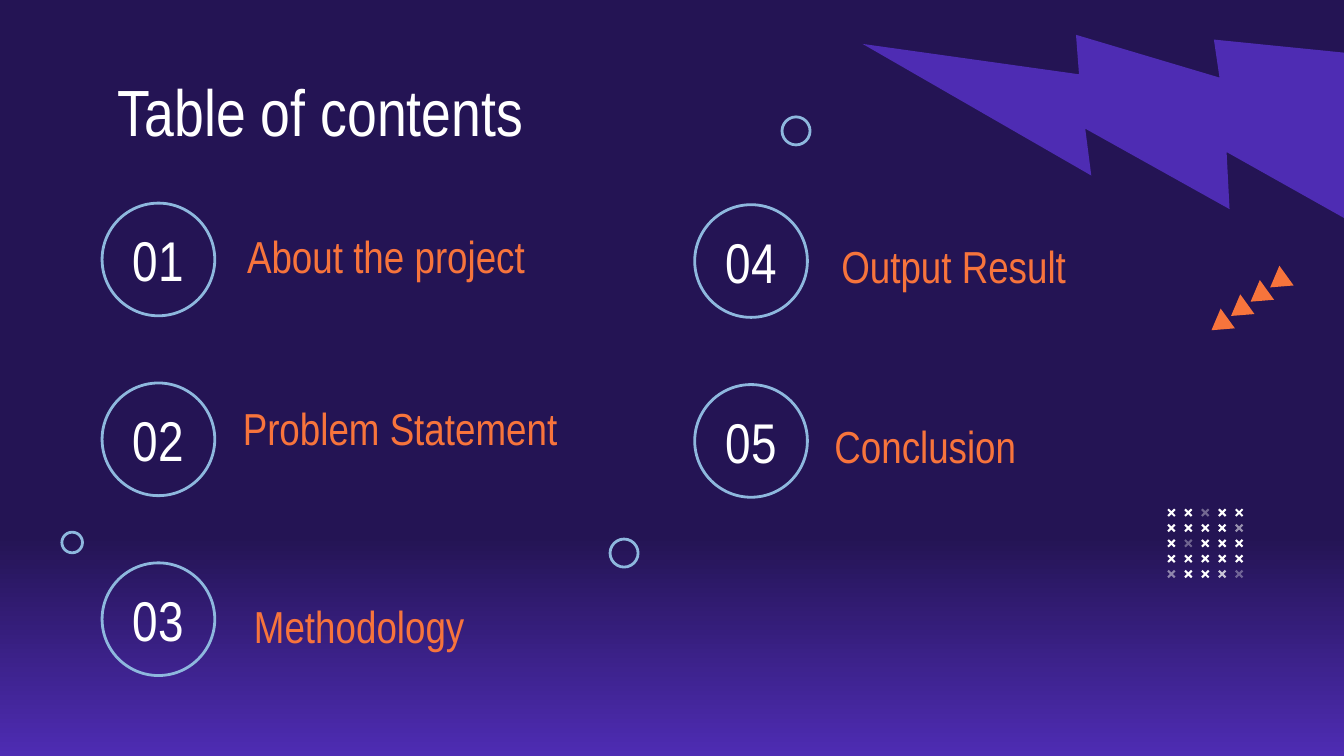
"""Build a table of contents slide with numbered circles and decorative shapes."""
from itertools import product

from lxml import etree
from pptx import Presentation
from pptx.dml.color import RGBColor
from pptx.enum.shapes import MSO_SHAPE
from pptx.enum.text import MSO_ANCHOR, PP_ALIGN
from pptx.oxml.ns import qn
from pptx.util import Cm, Pt

OVAL, TRIANGLE = MSO_SHAPE.OVAL, MSO_SHAPE.ISOSCELES_TRIANGLE
BOLT, CROSS = MSO_SHAPE.LIGHTNING_BOLT, MSO_SHAPE.CROSS
TOP, MIDDLE = MSO_ANCHOR.TOP, MSO_ANCHOR.MIDDLE
LEFT, CENTER = PP_ALIGN.LEFT, PP_ALIGN.CENTER

THEME = {
    "night": RGBColor(0x24, 0x14, 0x54),
    "violet": RGBColor(0x4E, 0x2C, 0xB3),
    "orange": RGBColor(0xF7, 0x74, 0x3C),
    "sky": RGBColor(0x8E, 0xB8, 0xDE),
    "white": RGBColor(0xFF, 0xFF, 0xFF),
    "font": "Arial Narrow",
    "title": Pt(35),
    "number": Pt(30),
    "label": Pt(24),
    "line": Pt(1.5),
}

TITLE = "Table of contents"
COLUMNS = [
    {"left": 1.93, "top": 3.84, "entries": [
        ("01", "About the project", 4.42, 4.37),
        ("02", "Problem Statement", 4.34, 7.62),
        ("03", "Methodology", 4.55, 11.35),
    ]},
    {"left": 13.13, "top": 3.87, "entries": [
        ("04", "Output Result", 15.65, 4.55),
        ("05", "Conclusion", 15.52, 7.95),
    ]},
]
CIRCLE_SIZE, CIRCLE_STEP = 2.13, 3.4
NUMBER_WIDTH, NUMBER_HEIGHT = 2.26, 2.44
LABEL_WIDTH, LABEL_HEIGHT = 8.66, 0.94
INSET = 0.25

RINGS = [(1.17, 10.06, 0.39), (14.78, 2.21, 0.53), (11.53, 10.19, 0.53)]
TRIANGLES = {"count": 4, "left": 23.93, "top": 5.13, "step": (-0.37, 0.27)}
CROSSES = {"count": 5, "left": 22.05, "top": 9.6, "step": (0.32, 0.29)}
CROSS_OPACITY = {(0, 2): 36, (1, 4): 53, (2, 1): 34,
                 (4, 0): 48, (4, 3): 75, (4, 4): 33}


def apply_format(target, values):
    for name, value in values.items():
        setattr(target, name, value)


def add_shape(slide, kind, box, fill=None, line=None, rotation=0):
    shape = slide.shapes.add_shape(kind, *map(Cm, box))
    shape.shadow.inherit = False
    shape.rotation = rotation
    if fill:
        shape.fill.solid()
        shape.fill.fore_color.rgb = THEME[fill]
    else:
        shape.fill.background()
    if line:
        shape.line.color.rgb = THEME[line]
        shape.line.width = THEME["line"]
    else:
        shape.line.fill.background()
    return shape


def add_text(slide, text, box, size, color, anchor=MIDDLE, alignment=LEFT):
    frame = slide.shapes.add_textbox(*map(Cm, box)).text_frame
    margins = ("margin_left", "margin_top", "margin_right", "margin_bottom")
    apply_format(frame, dict.fromkeys(margins, Cm(INSET)))
    apply_format(frame, {"word_wrap": True, "vertical_anchor": anchor})
    paragraph = frame.paragraphs[0]
    paragraph.alignment = alignment
    run = paragraph.add_run()
    run.text = text
    apply_format(run.font, {"name": THEME["font"], "size": THEME[size]})
    run.font.color.rgb = THEME[color]


def set_opacity(shape, percent):
    color = shape.element.spPr.find(qn("a:solidFill"))[0]
    etree.SubElement(color, qn("a:alpha")).set("val", str(percent * 1000))


def paint_background(slide):
    fill = slide.background.fill
    fill.gradient()
    fill.gradient_angle = 270
    for stop, (position, color) in zip(fill.gradient_stops,
                                       [(0.71, "night"), (1, "violet")]):
        stop.position = position
        stop.color.rgb = THEME[color]


def add_contents(slide):
    add_text(slide, TITLE, (1.98, 1.09, 21.41, 1.63), "title", "white", TOP)
    for column in COLUMNS:
        left = column["left"]
        number_left = left + (CIRCLE_SIZE - NUMBER_WIDTH) / 2
        for row, (number, label, label_left, label_top) in enumerate(column["entries"]):
            top = column["top"] + row * CIRCLE_STEP
            number_top = top + (CIRCLE_SIZE - NUMBER_HEIGHT) / 2
            add_shape(slide, OVAL, (left, top, CIRCLE_SIZE, CIRCLE_SIZE), line="sky")
            add_text(slide, number, (number_left, number_top, NUMBER_WIDTH, NUMBER_HEIGHT),
                     "number", "white", alignment=CENTER)
            add_text(slide, label, (label_left, label_top, LABEL_WIDTH, LABEL_HEIGHT),
                     "label", "orange")


def grid_position(grid, column, row):
    return (grid["left"] + column * grid["step"][0],
            grid["top"] + row * grid["step"][1])


def add_decorations(slide):
    for row, column in product(range(CROSSES["count"]), repeat=2):
        box = (*grid_position(CROSSES, column, row), 0.18, 0.18)
        cross = add_shape(slide, CROSS, box, "white", rotation=315)
        cross.adjustments[0] = 0.39
        if (row, column) in CROSS_OPACITY:
            set_opacity(cross, CROSS_OPACITY[row, column])
    for left, top, size in RINGS:
        add_shape(slide, OVAL, (left, top, size, size), line="sky")
    for index in range(TRIANGLES["count"]):
        box = (*grid_position(TRIANGLES, index, index), 0.46, 0.38)
        add_shape(slide, TRIANGLE, box, "orange", rotation=234.2)


def main():
    presentation = Presentation()
    apply_format(presentation, {"slide_width": Cm(25.4), "slide_height": Cm(14.29)})
    slide = presentation.slides.add_slide(presentation.slide_layouts[6])
    paint_background(slide)
    bolt = add_shape(slide, BOLT, (17.78, -1.73, 8.05, 8.05), "violet", rotation=59.9)
    bolt.element.spPr.find(qn("a:xfrm")).set("flipH", "1")
    add_contents(slide)
    add_decorations(slide)
    presentation.save("out.pptx")


if __name__ == "__main__":
    main()
